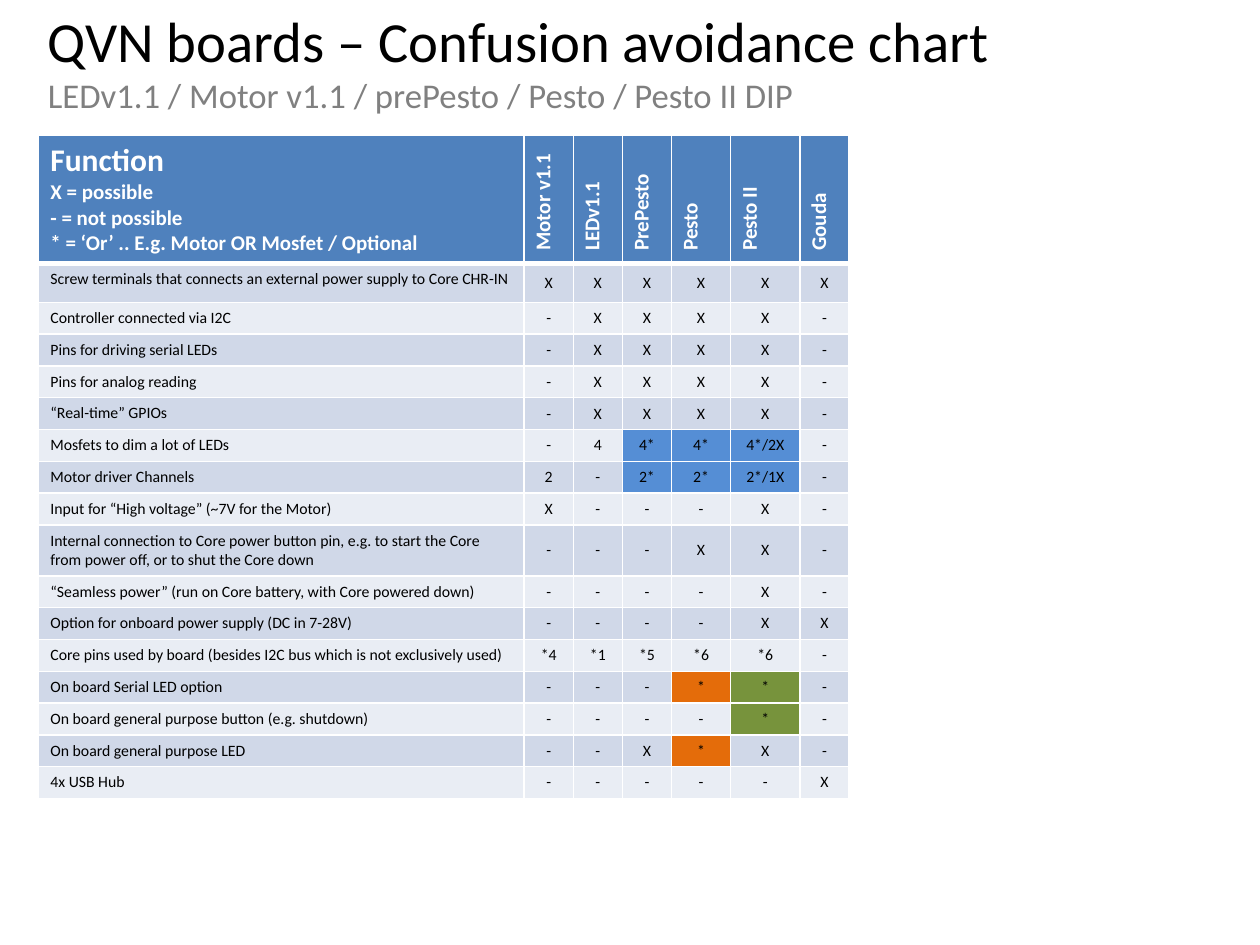
"""Build the board comparison slide: a title and a feature table."""
from lxml import etree
from pptx import Presentation
from pptx.dml.color import RGBColor
from pptx.enum.text import MSO_ANCHOR, MSO_AUTO_SIZE, PP_ALIGN
from pptx.oxml.ns import qn
from pptx.util import Inches, Pt

MIDDLE, TOP = MSO_ANCHOR.MIDDLE, MSO_ANCHOR.TOP
LEFT, CENTER = PP_ALIGN.LEFT, PP_ALIGN.CENTER
NO_AUTOFIT = MSO_AUTO_SIZE.NONE
FONT = "Calibri"
WHITE, BLACK, GREY = "FFFFFF", "000000", "808080"
HEADER_BLUE, BANDS = "4F81BD", ("E9EDF4", "D0D8E8")
BLUE, ORANGE, GREEN = "558ED5", "E46C0A", "77933C"


def add_run(paragraph, text, size, color, bold=False):
    run = paragraph.add_run()
    run.text = text
    run.font.name, run.font.size, run.font.bold = FONT, Pt(size), bold
    run.font.color.rgb = RGBColor.from_string(color)


def style_cell(cell, fill, top=1, bottom=1):
    cell.fill.solid()
    cell.fill.fore_color.rgb = RGBColor.from_string(fill)
    properties = cell._tc.get_or_add_tcPr()
    borders = (("lnL", 1), ("lnR", 1), ("lnT", top), ("lnB", bottom))
    for position, (side, width) in enumerate(borders):
        line = etree.Element(qn(f"a:{side}"), w=str(Pt(width)))
        solid = etree.SubElement(line, qn("a:solidFill"))
        etree.SubElement(solid, qn("a:srgbClr"), val=WHITE)
        properties.insert(position, line)


prs = Presentation()
prs.slide_width, prs.slide_height = Inches(10), Inches(7.5)
slide = prs.slides.add_slide(prs.slide_layouts[5])

title = slide.shapes.title
title.left, title.top = Inches(0.28), Inches(0.05)
title.width, title.height = Inches(8.74), Inches(0.87)
title.text_frame.auto_size = NO_AUTOFIT
title.text_frame.vertical_anchor = MIDDLE
heading = title.text_frame.paragraphs[0]
heading.alignment = LEFT
add_run(heading, "QVN boards – Confusion avoidance chart", 32.4, BLACK)
heading.add_line_break()
add_run(heading, "LEDv1.1 / Motor v1.1 / prePesto / Pesto / Pesto II DIP", 19.8, GREY)

legend = [
    ("Function", 18),
    ("X = possible", 12),
    ("- = not possible", 12),
    ("* = ‘Or’ .. E.g. Motor OR Mosfet / Optional", 12),
]
boards = ["Motor v1.1", "LEDv1.1", "PrePesto", "Pesto", "Pesto II", "Gouda"]
features = [
    ("Screw terminals that connects an external power supply to Core CHR-IN", "X X X X X X"),
    ("Controller connected via I2C", "- X X X X -"),
    ("Pins for driving serial LEDs", "- X X X X -"),
    ("Pins for analog reading", "- X X X X -"),
    ("“Real-time” GPIOs", "- X X X X -"),
    ("Mosfets to dim a lot of LEDs", "- 4 4* 4* 4*/2X -"),
    ("Motor driver Channels", "2 - 2* 2* 2*/1X -"),
    ("Input for “High voltage” (~7V for the Motor)", "X - - - X -"),
    ("Internal connection to Core power button pin, e.g. to start the Core "
     "from power off, or to shut the Core down", "- - - X X -"),
    ("“Seamless power” (run on Core battery, with Core powered down)", "- - - - X -"),
    ("Option for onboard power supply (DC in 7-28V)", "- - - - X X"),
    ("Core pins used by board (besides I2C bus which is not exclusively used)",
     "*4 *1 *5 *6 *6 -"),
    ("On board Serial LED option", "- - - * * -"),
    ("On board general purpose button (e.g. shutdown)", "- - - - * -"),
    ("On board general purpose LED", "- - X * X -"),
    ("4x USB Hub", "- - - - - X"),
]
highlights = {(row, column): BLUE for row in (6, 7) for column in (3, 4, 5)}
highlights |= {(13, 4): ORANGE, (15, 4): ORANGE, (13, 5): GREEN, (14, 5): GREEN}
column_widths = [3.86, 0.39, 0.39, 0.39, 0.47, 0.55, 0.39]
row_heights = [1.02, 0.31] + [0.25] * 7 + [0.4] + [0.25] * 7

table = slide.shapes.add_table(
    len(row_heights), len(column_widths), Inches(0.3), Inches(1.07),
    Inches(sum(column_widths)), Inches(sum(row_heights))).table
table.first_row = table.horz_banding = False
for column, width in zip(table.columns, column_widths):
    column.width = Inches(width)
for row, height in zip(table.rows, row_heights):
    row.height = Inches(height)

legend_cell = table.cell(0, 0)
style_cell(legend_cell, HEADER_BLUE, bottom=3)
for index, (text, size) in enumerate(legend):
    frame = legend_cell.text_frame
    paragraph = frame.add_paragraph() if index else frame.paragraphs[0]
    add_run(paragraph, text, size, WHITE, bold=True)

for column, board in enumerate(boards, 1):
    cell = table.cell(0, column)
    style_cell(cell, HEADER_BLUE, bottom=3)
    cell._tc.get_or_add_tcPr().set("vert", "vert270")
    add_run(cell.text_frame.paragraphs[0], board, 12, WHITE, bold=True)

for row, (feature, marks) in enumerate(features, 1):
    for column, text in enumerate([feature, *marks.split()]):
        cell = table.cell(row, column)
        style_cell(cell, highlights.get((row, column), BANDS[row % 2]),
                   top=3 if row == 1 else 1)
        cell.vertical_anchor = MIDDLE if column or row == 9 else TOP
        paragraph = cell.text_frame.paragraphs[0]
        paragraph.alignment = CENTER if column else LEFT
        add_run(paragraph, text, 9, BLACK)

prs.save("out.pptx")
